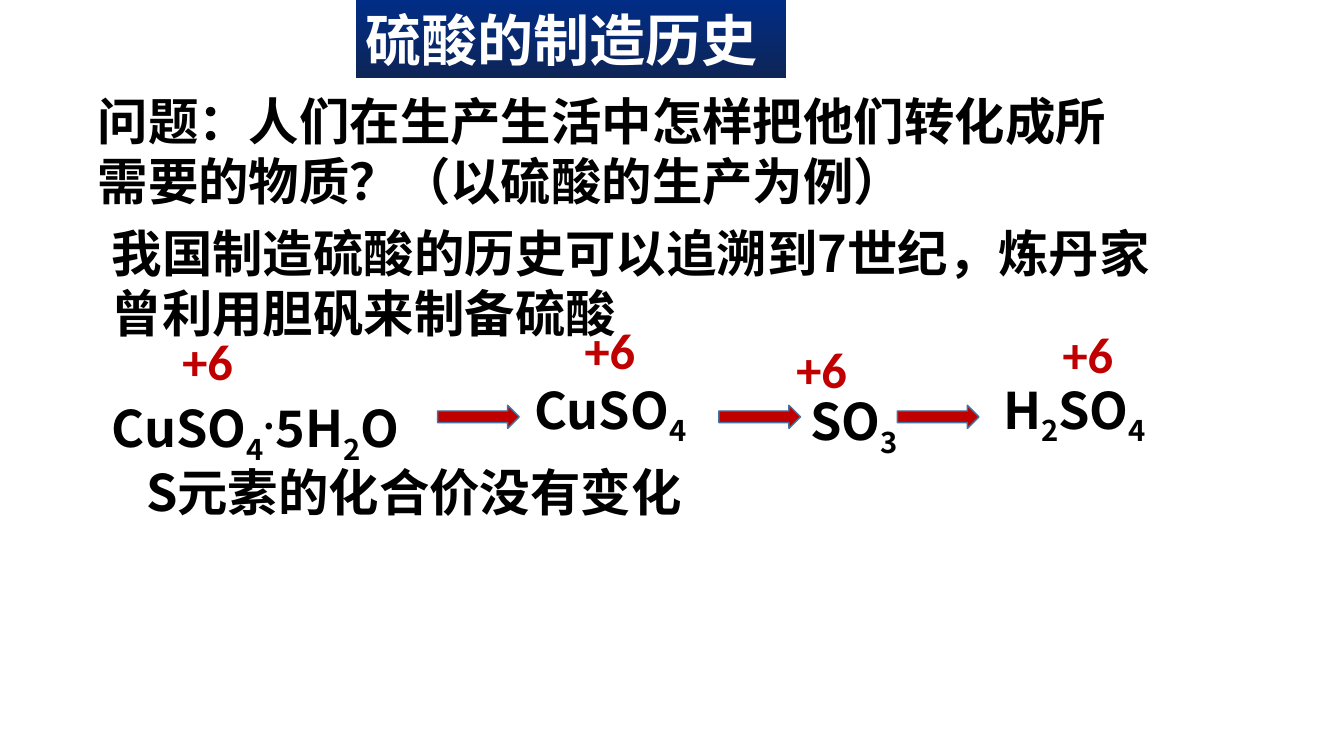
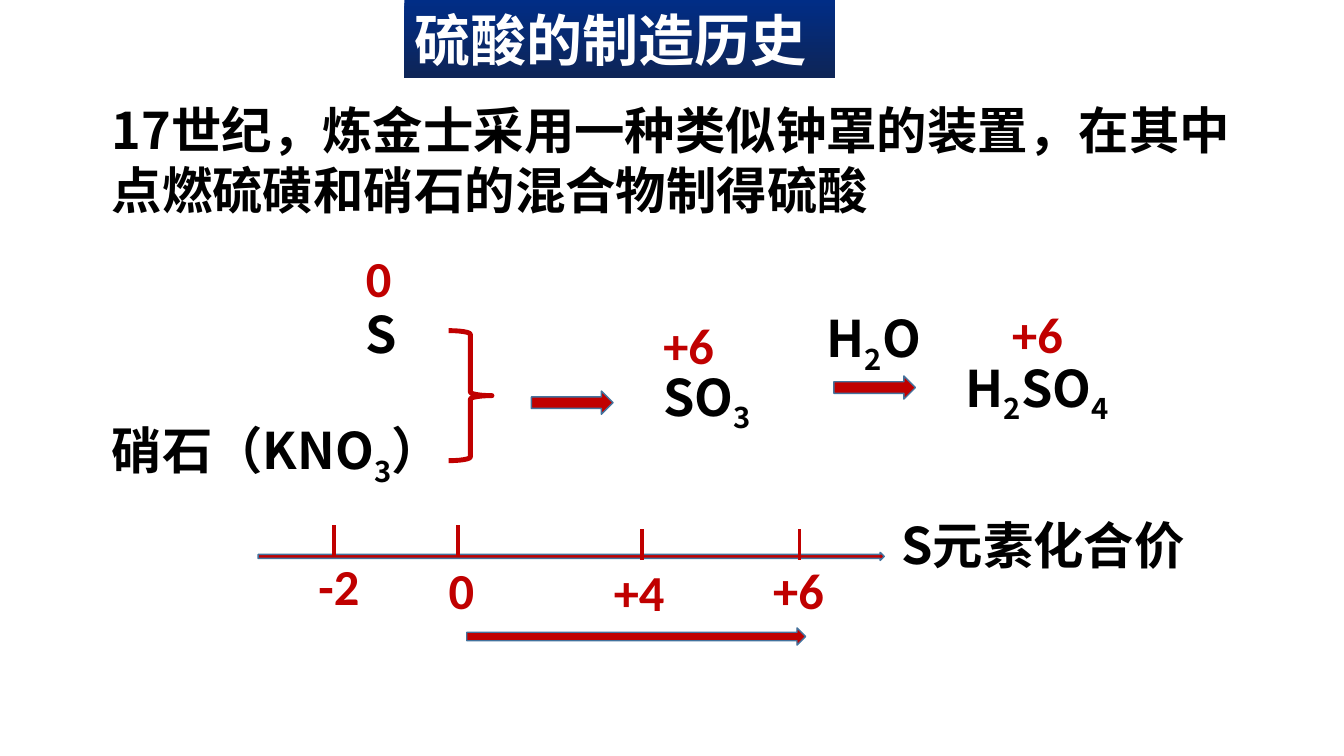
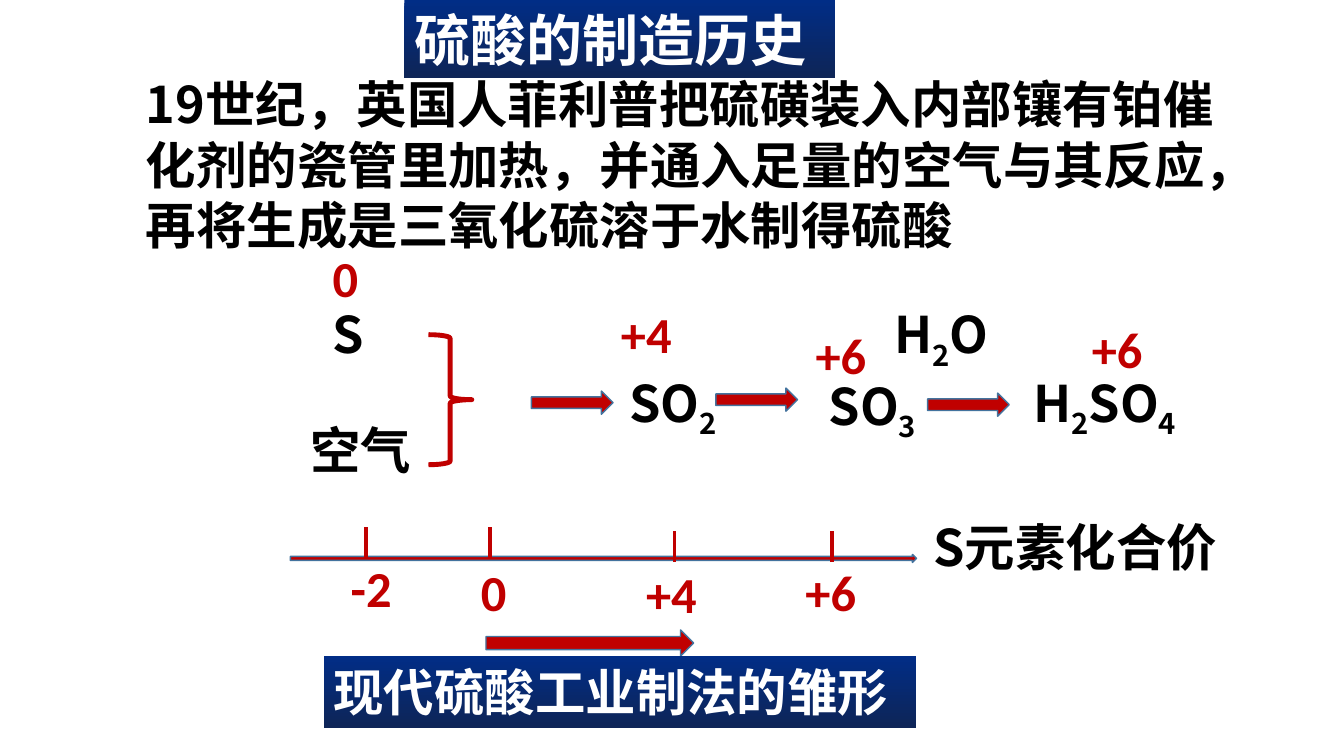
import dataclasses

import pptx
import pptx.util
import pptx.dml.color
import pptx.enum.shapes
import pptx.enum.text
import pptx.oxml.ns
import lxml.etree


@dataclasses.dataclass(frozen=True)
class Theme:
    ink: str = "000000"
    accent: str = "C00000"
    arrow_edge: str = "43739E"
    banner_text: str = "FFFFFF"
    banner_top: str = "012D86"
    banner_bottom: str = "0E2557"
    chinese_font: str = "Noto Sans CJK SC"
    number_font: str = "Calibri"
    title_size: int = 40
    body_size: int = 36
    dot_size: int = 44


THEME = Theme()
EMU_PER_PX = 9144
TITLE = "硫酸的制造历史"
TITLE_LEFT = 401
LINE_HEIGHT = 71
BASELINES = {"_": -25000, "^": 30000}
SHAPES = pptx.enum.shapes.MSO_SHAPE
AXIS_MARKS = [
    ("-2", 75, 0, 50, 25),
    ("0", 198, 0, 179, 29),
    ("+4", 381, 4, 343, 31),
    ("+6", 537, 4, 501, 29),
]


def px(*lengths):
    return [pptx.util.Emu(length * EMU_PER_PX) for length in lengths]


def rgb(value):
    return pptx.dml.color.RGBColor.from_string(value)


def split_runs(markup):
    for mark in BASELINES:
        markup = markup.replace(mark, "|" + mark)
    for chunk in filter(None, markup.split("|")):
        if chunk[0] in BASELINES:
            yield chunk[1], chunk[0]
            chunk = chunk[2:]
        if chunk:
            yield chunk, ""


def format_run(run, color, size, font_name):
    run.font.size = pptx.util.Pt(size)
    run.font.bold = True
    run.font.color.rgb = rgb(color)
    run.font.name = font_name
    properties = run._r.get_or_add_rPr()
    properties.set("lang", "zh-CN")
    east_asian = lxml.etree.SubElement(properties, pptx.oxml.ns.qn("a:ea"))
    east_asian.set("typeface", THEME.chinese_font)


def write_text(shape, markup, color, size, font_name):
    frame = shape.text_frame
    frame.word_wrap = True
    frame.auto_size = pptx.enum.text.MSO_AUTO_SIZE.NONE
    frame.vertical_anchor = pptx.enum.text.MSO_ANCHOR.TOP
    paragraph = frame.paragraphs[0]
    paragraph.alignment = pptx.enum.text.PP_ALIGN.LEFT
    for text, mark in split_runs(markup):
        run = paragraph.add_run()
        run.text = text
        format_run(run, color, THEME.dot_size if mark == "^" else size, font_name)
        if mark:
            run._r.get_or_add_rPr().set("baseline", str(BASELINES[mark]))


def add_text(shapes, left, top, width, markup, height=LINE_HEIGHT):
    box = shapes.add_textbox(*px(left, top, width, height))
    write_text(box, markup, THEME.ink, THEME.body_size, THEME.chinese_font)


def add_valence(shapes, left, top, text):
    box = shapes.add_textbox(*px(left, top, 121, LINE_HEIGHT))
    write_text(box, text, THEME.accent, THEME.body_size, THEME.number_font)


def fill_banner(shape):
    shape.fill.gradient()
    shape.fill.gradient_angle = 270
    for stop, color in zip(shape.fill.gradient_stops, (THEME.banner_top, THEME.banner_bottom)):
        stop.color.rgb = rgb(color)


def add_arrow(shapes, left, top, width=81, height=23):
    arrow = shapes.add_shape(SHAPES.RIGHT_ARROW, *px(left, top, width, height))
    arrow.shadow.inherit = False
    arrow.fill.solid()
    arrow.fill.fore_color.rgb = rgb(THEME.accent)
    arrow.line.color.rgb = rgb(THEME.arrow_edge)
    arrow.line.width = pptx.util.Pt(1)


def add_brace(shapes, left, top):
    brace = shapes.add_shape(SHAPES.RIGHT_BRACE, *px(left, top, 43, 129))
    brace.shadow.inherit = False
    brace.fill.background()
    brace.line.color.rgb = rgb(THEME.accent)
    brace.line.width = pptx.util.Pt(3.5)


def add_tick(shapes, left, top):
    tick = shapes.add_connector(
        pptx.enum.shapes.MSO_CONNECTOR.STRAIGHT, *px(left, top, left, top + 31))
    tick.line.color.rgb = rgb(THEME.accent)
    tick.line.width = pptx.util.Pt(2.75)
    lxml.etree.SubElement(tick._element.spPr, pptx.oxml.ns.qn("a:effectLst"))


def add_valence_axis(slide, left, top):
    shapes = slide.shapes.add_group_shape().shapes
    add_text(shapes, left + 628, top - 16, 400, "S元素化合价")
    add_arrow(shapes, left, top + 27, 621, 8)
    for label, tick_left, tick_top, label_left, label_top in AXIS_MARKS:
        add_tick(shapes, left + tick_left, top + tick_top)
        add_valence(shapes, left + label_left, top + label_top, label)


def add_slide(presentation, title_left=TITLE_LEFT):
    slide = presentation.slides.add_slide(presentation.slide_layouts[5])
    title = slide.shapes.title
    title.left, title.top, title.width, title.height = px(title_left, 0, 427, 77)
    fill_banner(title)
    write_text(title, TITLE, THEME.banner_text, THEME.title_size, THEME.number_font)
    return slide


def add_reaction(slide, formulas, valences, arrows):
    for left, top, width, formula in formulas:
        add_text(slide.shapes, left, top, width, formula)
    for left, top in arrows:
        add_arrow(slide.shapes, left, top)
    for left, top, valence in valences:
        add_valence(slide.shapes, left, top, valence)


def build_alchemy(presentation):
    slide = add_slide(presentation, 353)
    add_text(slide.shapes, 87, 84, 1063,
             "问题：人们在生产生活中怎样把他们转化成所需要的物质？（以硫酸的生产为例）", 131)
    add_text(slide.shapes, 101, 215, 1063,
             "我国制造硫酸的历史可以追溯到7世纪，炼丹家曾利用胆矾来制备硫酸", 131)
    add_reaction(
        slide,
        [(101, 378, 389, "CuSO_4^.5H_2O"), (520, 371, 197, "CuSO_4"),
         (794, 382, 138, "SO_3"), (985, 371, 180, "H_2SO_4")],
        [(171, 323, "+6"), (570, 312, "+6"), (780, 331, "+6"), (1044, 316, "+6")],
        [(434, 402), (713, 402), (890, 402)])
    add_text(slide.shapes, 135, 453, 578, "S元素的化合价没有变化")


def build_bell_jar(presentation):
    slide = add_slide(presentation)
    add_text(slide.shapes, 101, 93, 1176,
             "17世纪，炼金士采用一种类似钟罩的装置，在其中点燃硫磺和硝石的混合物制得硫酸", 131)
    add_reaction(
        slide,
        [(353, 296, 138, "S"), (101, 411, 389, "硝石（KNO_3）"), (648, 358, 138, "SO_3"),
         (810, 300, 138, "H_2O"), (948, 349, 180, "H_2SO_4")],
        [(353, 240, "0"), (648, 307, "+6"), (994, 296, "+6")],
        [(527, 388), (827, 373)])
    add_brace(slide.shapes, 445, 328)
    add_valence_axis(slide, 256, 521)
    add_arrow(slide.shapes, 463, 623, 336, 17)


def build_contact_process(presentation):
    slide = add_slide(presentation)
    add_text(slide.shapes, 135, 68, 1096,
             "19世纪，英国人菲利普把硫磺装入内部镶有铂催化剂的瓷管里加热，"
             "并通入足量的空气与其反应，再将生成是三氧化硫溶于水制得硫酸", 192)
    add_reaction(
        slide,
        [(320, 296, 138, "S"), (298, 411, 389, "空气"), (614, 364, 138, "SO_2"),
         (812, 367, 138, "SO_3"), (877, 296, 138, "H_2O"), (1015, 364, 180, "H_2SO_4")],
        [(320, 240, "0"), (606, 296, "+4"), (799, 317, "+6"), (1073, 311, "+6")],
        [(527, 388), (710, 385), (920, 390)])
    add_brace(slide.shapes, 425, 332)
    add_valence_axis(slide, 288, 523)
    add_arrow(slide.shapes, 482, 625, 206, 26)
    conclusion = slide.shapes.add_textbox(*px(321, 651, 588, LINE_HEIGHT))
    fill_banner(conclusion)
    write_text(conclusion, "现代硫酸工业制法的雏形", THEME.banner_text,
               THEME.body_size, THEME.chinese_font)


def main():
    presentation = pptx.Presentation()
    presentation.slide_width, presentation.slide_height = px(1333, 750)
    build_alchemy(presentation)
    build_bell_jar(presentation)
    build_contact_process(presentation)
    presentation.save("out.pptx")


if __name__ == "__main__":
    main()
